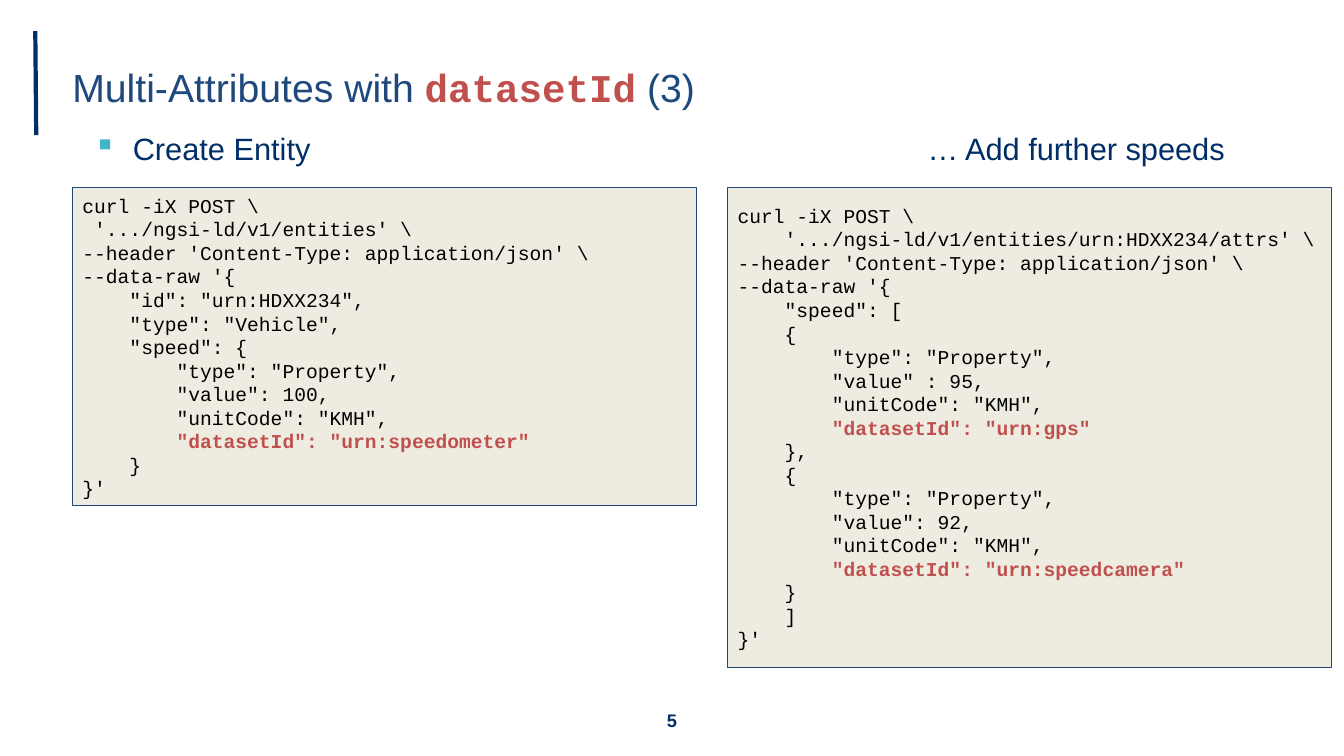
from lxml.etree import SubElement
from pptx import Presentation
from pptx.dml.color import RGBColor
from pptx.enum.shapes import MSO_CONNECTOR, MSO_SHAPE
from pptx.enum.text import MSO_ANCHOR as Anchor, PP_ALIGN as Align
from pptx.oxml.ns import qn
from pptx.util import Pt

COLORS = {
    "navy": "002E67",
    "blue": "1F497D",
    "red": "C0504D",
    "teal": "41B4C7",
    "sand": "EEECE1",
    "black": "000000",
}
SANS, MONO = "Arial", "Courier New"
TITLE = {"name": SANS, "size": Pt(28), "color": "blue"}
TITLE_KEYWORD = TITLE | {"name": MONO, "color": "red", "bold": True}
HEADING = {"name": SANS, "size": Pt(22), "color": "navy"}
PAGE_NUMBER = {"name": SANS, "size": Pt(13), "color": "navy", "bold": True}
CODE = {"name": MONO, "size": Pt(14), "color": "black"}
CODE_KEYWORD = CODE | {"color": "red", "bold": True}

CREATE_ENTITY = r"""curl -iX POST \
 '.../ngsi-ld/v1/entities' \
--header 'Content-Type: application/json' \
--data-raw '{
    "id": "urn:HDXX234",
    "type": "Vehicle",
    "speed": {
        "type": "Property",
        "value": 100,
        "unitCode": "KMH",
        "datasetId": "urn:speedometer"
    }
}'"""

ADD_SPEEDS = r"""curl -iX POST \
    '.../ngsi-ld/v1/entities/urn:HDXX234/attrs' \
--header 'Content-Type: application/json' \
--data-raw '{
    "speed": [
    {
        "type": "Property",
        "value" : 95,
        "unitCode": "KMH",
        "datasetId": "urn:gps"
    },
    {
        "type": "Property",
        "value": 92,
        "unitCode": "KMH",
        "datasetId": "urn:speedcamera"
    }
    ]
}'"""


def rgb(color):
    return RGBColor.from_string(COLORS[color])


def add_run(paragraph, text, style):
    run = paragraph.add_run()
    run.text = text
    for key, value in style.items():
        if key == "color":
            run.font.color.rgb = rgb(value)
        else:
            setattr(run.font, key, value)


def add_label(slide, box, pieces, anchor=Anchor.MIDDLE, align=Align.LEFT):
    frame = slide.shapes.add_textbox(*map(Pt, box)).text_frame
    frame.word_wrap = True
    frame.vertical_anchor = anchor
    paragraph = frame.paragraphs[0]
    paragraph.alignment = align
    for text, style in pieces:
        add_run(paragraph, text, style)
    return paragraph


def add_heading(slide, left, width, text):
    heading = add_label(slide, (left, 89.3, width, 40), [(text, HEADING)], Anchor.TOP)
    heading.space_before = Pt(12)
    return heading


def add_bullet(paragraph, margin, hanging):
    properties = paragraph._p.get_or_add_pPr()
    properties.set("marL", str(Pt(margin)))
    properties.set("indent", str(-Pt(hanging)))
    bullet_color = SubElement(properties, qn("a:buClr"))
    SubElement(bullet_color, qn("a:srgbClr"), val=COLORS["teal"])
    SubElement(properties, qn("a:buChar"), char="▪")


def add_code(slide, left, width, height, code):
    panel = slide.shapes.add_shape(MSO_SHAPE.RECTANGLE, *map(Pt, (left, 133.9, width, height)))
    panel.shadow.inherit = False
    panel.fill.solid()
    panel.fill.fore_color.rgb = rgb("sand")
    panel.line.color.rgb = rgb("blue")
    panel.line.width = Pt(0.75)
    frame = panel.text_frame
    frame.word_wrap = True
    frame.vertical_anchor = Anchor.MIDDLE
    for side in ("left", "top", "right", "bottom"):
        setattr(frame, f"margin_{side}", Pt(7.2))
    for number, line in enumerate(code.splitlines()):
        paragraph = frame.add_paragraph() if number else frame.paragraphs[0]
        paragraph.alignment = Align.LEFT
        add_run(paragraph, line, CODE_KEYWORD if "datasetId" in line else CODE)


def add_accent(slide, start, end):
    accent = slide.shapes.add_connector(MSO_CONNECTOR.STRAIGHT, *map(Pt, start + end))
    accent.line.color.rgb = rgb("navy")
    accent.line.width = Pt(3)
    SubElement(accent._element.spPr, qn("a:effectLst"))


def main():
    deck = Presentation()
    deck.slide_width, deck.slide_height = Pt(960), Pt(540)
    slide = deck.slides.add_slide(deck.slide_layouts[6])

    add_accent(slide, (25.9, 96.5), (25.2, 22.3))
    title = [("Multi-Attributes with ", TITLE), ("datasetId", TITLE_KEYWORD), (" (3)", TITLE)]
    add_label(slide, (44.6, 22.3, 826.6, 79.2), title)
    add_label(slide, (425.5, 500.4, 108.7, 28.8), [("5", PAGE_NUMBER)], align=Align.CENTER)

    create_heading = add_heading(slide, 51.8, 445.7, "Create Entity")
    add_bullet(create_heading, 36, 28)
    add_heading(slide, 655.5, 274, "… Add further speeds")

    add_code(slide, 51.8, 445.7, 227.5, CREATE_ENTITY)
    add_code(slide, 519.8, 431.3, 342.7, ADD_SPEEDS)
    deck.save("out.pptx")


if __name__ == "__main__":
    main()
